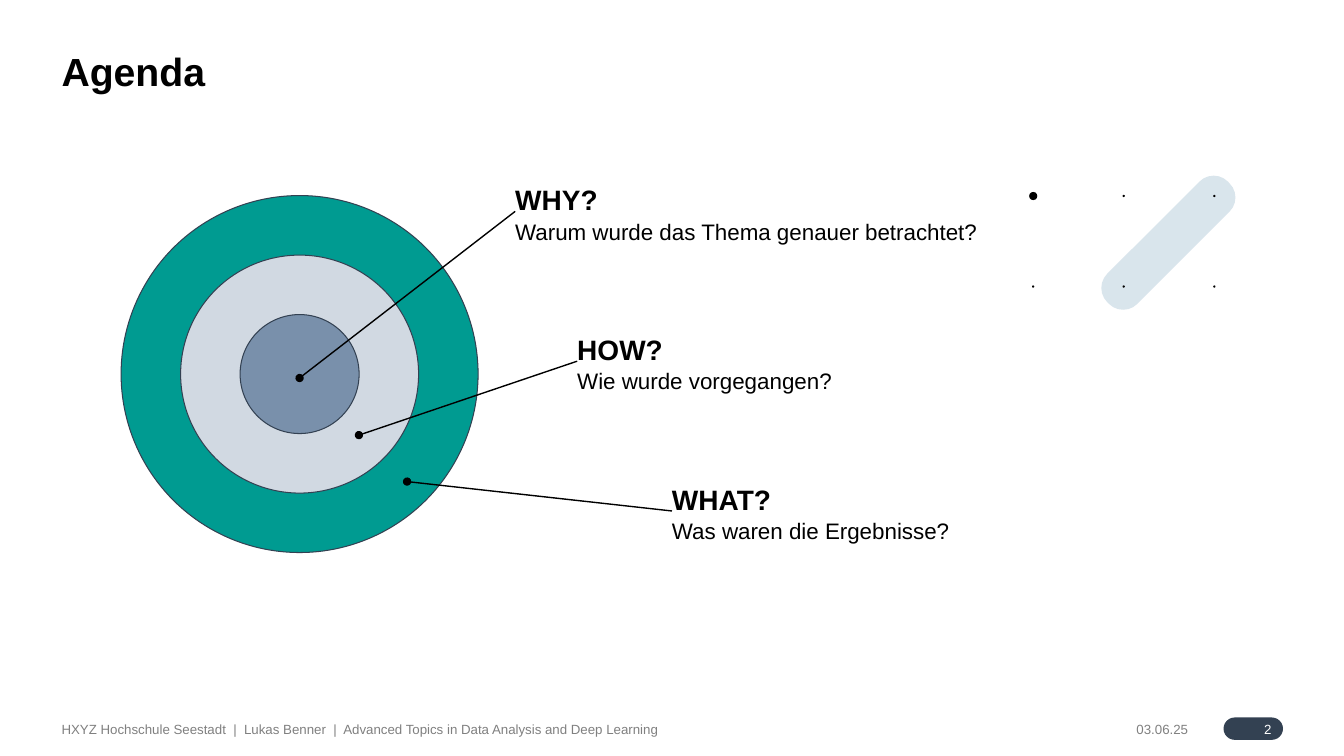
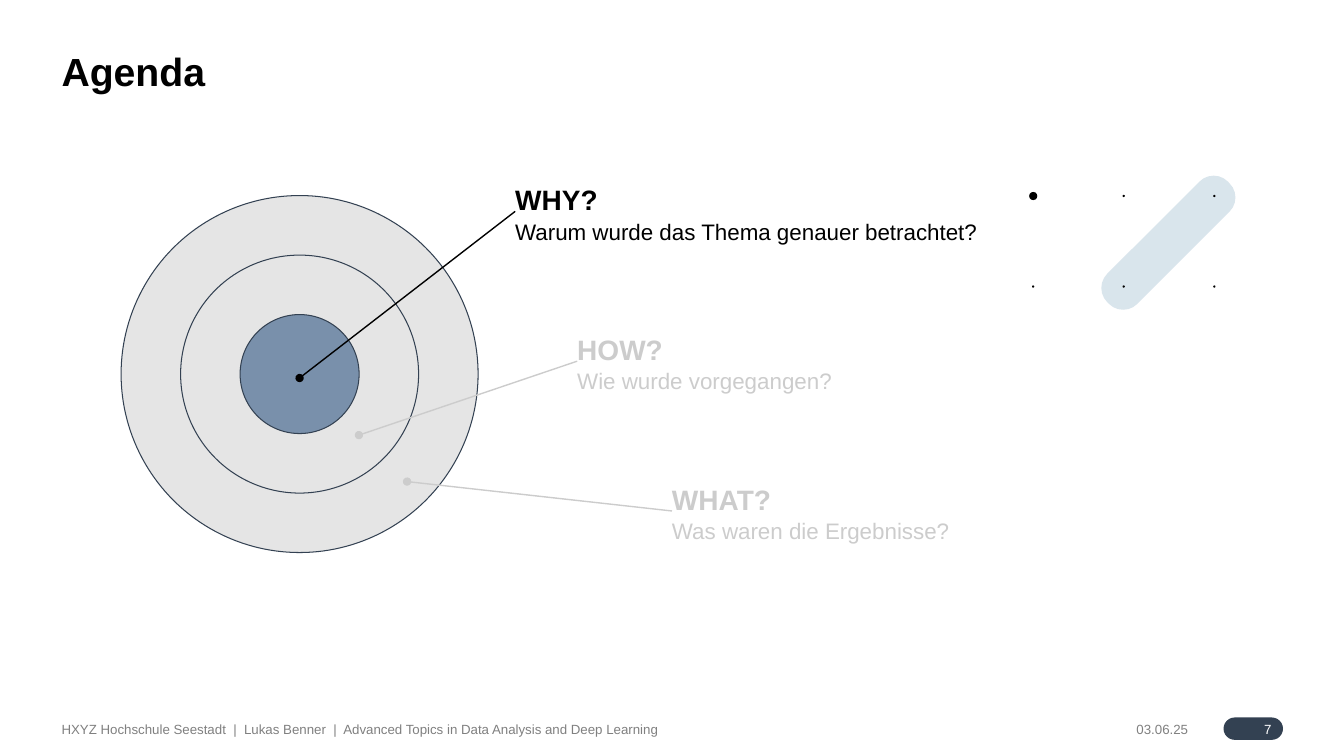
from lxml import etree
from pptx import Presentation
from pptx.dml.color import RGBColor
from pptx.enum.shapes import MSO_CONNECTOR, MSO_SHAPE
from pptx.enum.text import MSO_ANCHOR, PP_ALIGN
from pptx.oxml.ns import qn
from pptx.util import Pt

OVAL, ROUND = MSO_SHAPE.OVAL, MSO_SHAPE.ROUNDED_RECTANGLE
LINE = MSO_CONNECTOR.STRAIGHT
TOP, MID = MSO_ANCHOR.TOP, MSO_ANCHOR.MIDDLE
LEFT, RIGHT = PP_ALIGN.LEFT, PP_ALIGN.RIGHT


class Theme:
    font = "Arial"
    title, head, body, foot = 28, 20, 16, 9.5
    lead = 1.06
    ink, white, grey = "000000", "FFFFFF", "808080"
    navy, teal, pale, steel = "334152", "009B91", "D1D9E2", "7990AB"
    ice, mute, dim = "D9E5EC", "E5E5E5", "CCCCCC"


def write(shape, text, sizes, color=Theme.ink, bold=False, align=LEFT,
          anchor=TOP, inset=0):
    """Fill a shape with text, one size per line; bold marks the first line."""
    frame = shape.text_frame
    frame.word_wrap = True
    frame.vertical_anchor = anchor
    frame.margin_left = frame.margin_top = frame.margin_bottom = 0
    frame.margin_right = Pt(inset)
    frame.text = text
    for i, (para, size) in enumerate(zip(frame.paragraphs, sizes)):
        para.alignment = align
        para.line_spacing = Theme.lead
        font = para.runs[0].font
        font.name, font.size = Theme.font, Pt(size)
        font.bold = bold and i == 0
        font.color.rgb = RGBColor.from_string(color)


def draw(slide, kind, x, y, w, h, fill, edge=None):
    """Add a flat shape centred on x, y."""
    shape = slide.shapes.add_shape(
        kind, Pt(x - w / 2), Pt(y - h / 2), Pt(w), Pt(h))
    shape.shadow.inherit = False
    shape.fill.solid()
    shape.fill.fore_color.rgb = RGBColor.from_string(fill)
    if edge:
        shape.line.color.rgb = RGBColor.from_string(edge)
        shape.line.width = Pt(0.75)
    else:
        shape.line.fill.background()
    return shape


# Shared content
FOOTER = ("HXYZ Hochschule Seestadt  |  Lukas Benner  |  "
          "Advanced Topics in Data Analysis and Deep Learning")
DATE = "03.06.25"
EDGE = 44           # left margin
HUB = (214, 267.2)  # centre of the rings
CORE = 85           # diameter of the inner ring
# Heading, question, text left, text width, line end
TOPICS = [
    ("WHY?", "Warum wurde das Thema genauer betrachtet?", 368, 340, (214, 270)),
    ("HOW?", "Wie wurde vorgegangen?", 412.3, 243, (256.4, 310.8)),
    ("WHAT?", "Was waren die Ergebnisse?", 480, 243, (290.8, 344)),
]
HUES = [Theme.steel, Theme.pale, Theme.teal]
# Page number and the topics in focus
PAGES = [("2", {0, 1, 2}), ("7", {0})]

deck = Presentation()
deck.slide_width, deck.slide_height = Pt(960), Pt(540)

for page, focus in PAGES:
    slide = deck.slides.add_slide(deck.slide_layouts[6])
    shapes = slide.shapes

    # Corner motif: slanted bar and grid of dots
    bar = draw(slide, ROUND, 834.6, 173.4, 30.4, 121.8, Theme.ice)
    bar.adjustments[0] = 0.47
    bar.rotation = 45
    for row in range(2):
        for col in range(3):
            size = 1.6 if row or col else 5.8
            draw(slide, OVAL, 738 + 64.7 * col, 140 + 64.7 * row,
                 size, size, Theme.ink)

    # Title
    title = shapes.add_textbox(Pt(EDGE), Pt(31.7), Pt(872), Pt(34))
    write(title, "Agenda", [Theme.title], bold=True)

    # Footer, date and page number
    for text, x, w in [(FOOTER, EDGE, 754), (DATE, 811.8, 50)]:
        box = shapes.add_textbox(Pt(x), Pt(514.8), Pt(w), Pt(11.5))
        write(box, text, [Theme.foot], color=Theme.grey, anchor=MID)
    badge = draw(slide, ROUND, 895.2, 520.5, 42.5, 16, Theme.navy)
    badge.adjustments[0] = 0.5
    write(badge, page, [Theme.foot], color=Theme.white, align=RIGHT,
          anchor=MID, inset=8 - 2.3 + 0.1)

    # Rings, outermost first
    for i in reversed(range(len(TOPICS))):
        size = CORE * (i + 1)
        draw(slide, OVAL, *HUB, size, size,
             HUES[i] if i in focus else Theme.mute, Theme.navy)

    # Topics and their pointers
    for i, (head, ask, x, w, end) in enumerate(TOPICS):
        color = Theme.ink if i in focus else Theme.dim
        box = shapes.add_textbox(Pt(x), Pt(129 + 107 * i), Pt(w), Pt(44))
        write(box, f"{head}\n{ask}", [Theme.head, Theme.body],
              color=color, bold=True)
        link = shapes.add_connector(LINE, 0, 0, Pt(end[0]), Pt(end[1]))
        link.begin_connect(box, 1)
        link.line.color.rgb = RGBColor.from_string(color)
        link.line.width = Pt(1)
        etree.SubElement(link.line._get_or_add_ln(), qn("a:tailEnd"), type="oval")
        etree.SubElement(link._element.spPr, qn("a:effectLst"))

deck.save("out.pptx")
